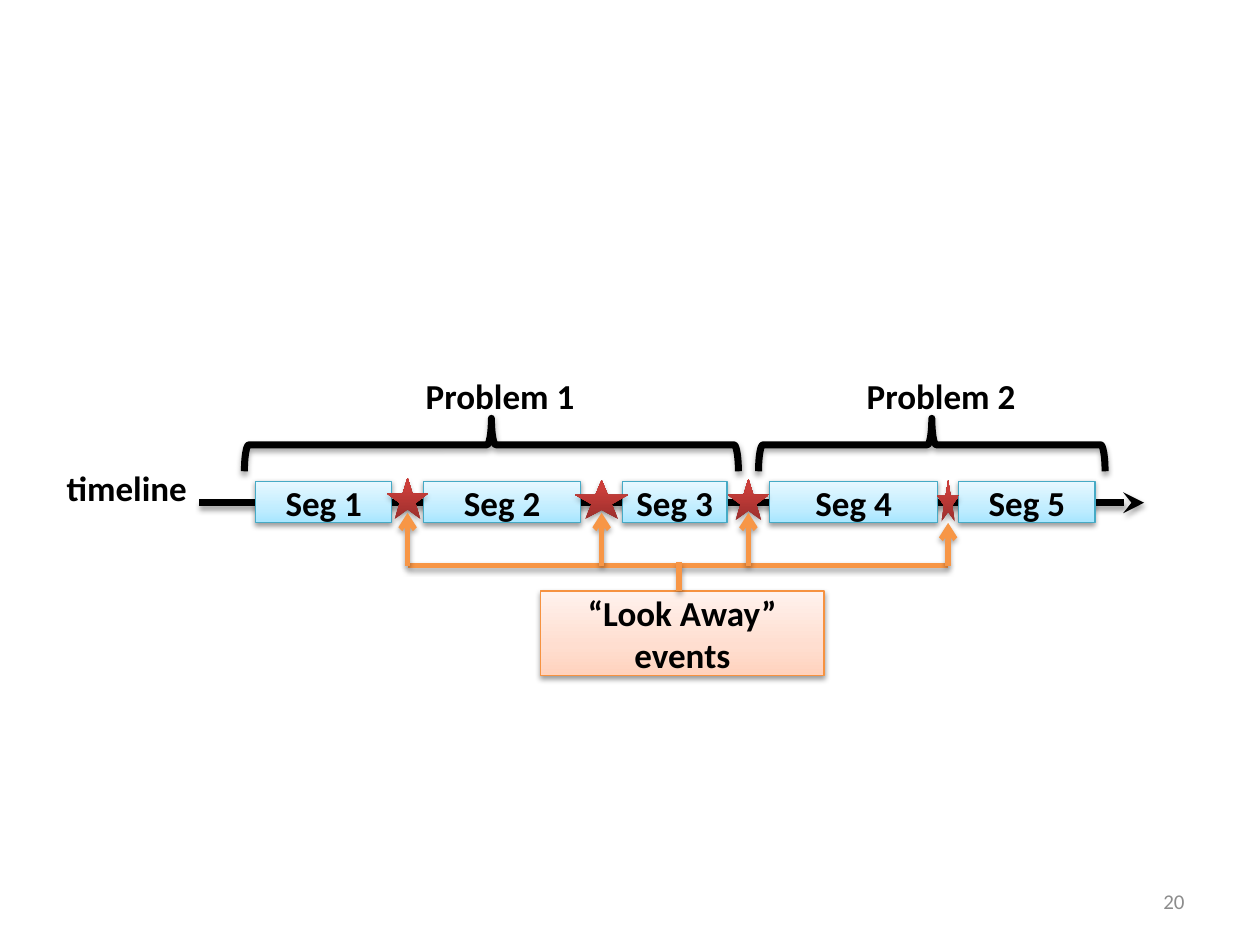
from lxml import etree
from pptx import Presentation
from pptx.dml.color import RGBColor
from pptx.enum import shapes, text
from pptx.oxml import ns
from pptx.util import Inches, Pt

BLACK = RGBColor(0x00, 0x00, 0x00)
GRAY = RGBColor(0x8C, 0x8C, 0x8C)
TEAL = RGBColor(0x46, 0xAA, 0xC5)
ORANGE = RGBColor(0xF7, 0x96, 0x46)
ORANGE_EDGE = RGBColor(0xF6, 0x92, 0x40)
BLUE_GRADIENT = [(0, RGBColor(0xA7, 0xE6, 0xFF)), (35, RGBColor(0xC1, 0xED, 0xFF)),
                 (100, RGBColor(0xE7, 0xF8, 0xFF))]
PEACH_GRADIENT = [(0, RGBColor(0xFF, 0xD2, 0xBD)), (35, RGBColor(0xFF, 0xDE, 0xD0)),
                  (100, RGBColor(0xFF, 0xF2, 0xED))]
RED_GRADIENT = [(0, RGBColor(0x9C, 0x2F, 0x2D)), (80, RGBColor(0xCB, 0x3E, 0x3A)),
                (100, RGBColor(0xCE, 0x3B, 0x37))]
SHAPE = shapes.MSO_SHAPE
ALIGN = text.PP_ALIGN


def add_node(parent, tag, **attributes):
    """Append a DrawingML element and return it."""
    values = {name: str(value) for name, value in attributes.items()}
    return etree.SubElement(parent, ns.qn("a:" + tag), values)


def add_color(parent, color, **children):
    """Append an RGB colour with optional modifiers."""
    node = add_node(parent, "srgbClr", val=color)
    for tag, value in children.items():
        add_node(node, tag, val=value)


def write(frame, words, size=20, color=BLACK, bold=True, align=ALIGN.LEFT,
          anchor=text.MSO_ANCHOR.TOP, wrap=True):
    """Put one formatted paragraph into a text frame."""
    frame.word_wrap = wrap
    frame.vertical_anchor = anchor
    para = frame.paragraphs[0]
    para.alignment = align
    span = para.add_run()
    span.text = words
    span.font.name = "Calibri"
    span.font.size = Pt(size)
    span.font.bold = bold
    span.font.color.rgb = color


class Diagram:
    """Holds the style and the current slide."""

    def __init__(self, page):
        """Start drawing on a page."""
        self.page = page
        self.target = page.shapes

    def start_group(self):
        """Send the following elements into a new group."""
        self.target = self.page.shapes.add_group_shape().shapes

    def end_group(self):
        """Send the following elements to the page again."""
        self.target = self.page.shapes

    def shadow(self, properties, opacity=35, distance=1.8):
        """Add a soft downward shadow to shape properties."""
        effects = properties.find(ns.qn("a:effectLst"))
        if effects is None:
            effects = add_node(properties, "effectLst")
        outer = add_node(effects, "outerShdw", blurRad=Pt(3.1), dist=Pt(distance),
                         dir=5400000, rotWithShape=0)
        add_color(outer, BLACK, alpha=opacity * 1000)

    def line(self, start, end, color, width, head=None):
        """Draw a straight line, with an arrowhead at its end if named."""
        line = self.target.add_connector(shapes.MSO_CONNECTOR.STRAIGHT,
                                         *map(Inches, start + end))
        line.line.color.rgb = color
        line.line.width = Pt(width)
        if head:
            add_node(line.line._get_or_add_ln(), "tailEnd", type=head)
        self.shadow(line._element.spPr)

    def shape(self, kind, left, top, width, height, gradient=None, edge=None,
              edge_width=0.75, opacity=35, distance=1.8):
        """Draw a preset shape with a vertical gradient, an edge and a shadow."""
        shape = self.target.add_shape(kind, *map(Inches, (left, top, width, height)))
        if gradient:
            shape.fill.gradient()
            shape.fill.gradient_angle = 90
            stops = shape._element.spPr.find(".//" + ns.qn("a:gsLst"))
            for stop in list(stops):
                stops.remove(stop)
            for position, color in gradient:
                add_color(add_node(stops, "gs", pos=position * 1000), color)
        else:
            shape.fill.background()
        if edge is None:
            shape.line.fill.background()
        else:
            shape.line.color.rgb = edge
            shape.line.width = Pt(edge_width)
        shape.shadow.inherit = False
        self.shadow(shape._element.spPr, opacity, distance)
        return shape

    def box(self, words, left, top, width, height, gradient, edge):
        """Draw a rectangle with centred text."""
        box = self.shape(SHAPE.RECTANGLE, left, top, width, height, gradient, edge,
                         opacity=38, distance=1.6)
        write(box.text_frame, words, align=ALIGN.CENTER, anchor=text.MSO_ANCHOR.MIDDLE)

    def brace(self, left, right, top, height):
        """Draw a brace that opens downward over a span."""
        span = right - left
        brace = self.shape(SHAPE.LEFT_BRACE, (left + right - height) / 2,
                           top + (height - span) / 2, height, span,
                           edge=BLACK, edge_width=4)
        brace.rotation = 90

    def label(self, words, left, top, width, height, **style):
        """Add a text box."""
        label = self.target.add_textbox(*map(Inches, (left, top, width, height)))
        write(label.text_frame, words, **style)


deck = Presentation()
deck.slide_width, deck.slide_height = Inches(10), Inches(7.5)
diagram = Diagram(deck.slides.add_slide(deck.slide_layouts[6]))

SEGMENTS = [(2.03, 1.08), (3.36, 1.25), (4.94, 0.83), (6.11, 1.33), (7.61, 1.08)]
STARS = [(0.33, 3.79, 0.33), (0.42, 3.81, 0.31), (0.33, 3.8, 0.33), (0.17, 3.81, 0.33)]
gap_centers = [(left + width + following) / 2
               for (left, width), (following, _) in zip(SEGMENTS, SEGMENTS[1:])]

diagram.line((1.58, 3.99), (9.08, 3.99), BLACK, 4, head="stealth")
for number, (left, width) in enumerate(SEGMENTS, 1):
    diagram.box(f"Seg {number}", left, 3.82, width, 0.33, BLUE_GRADIENT, TEAL)

for left, right in [(1.94, 5.86), (6.02, 8.77)]:
    diagram.brace(left, right, 3.32, 0.42)
for center, (width, top, height) in zip(gap_centers, STARS):
    diagram.shape(SHAPE.STAR_5_POINT, center - width / 2, top, width, height, RED_GRADIENT)

for words, left, top, width in [("Problem 1", 3.28, 2.92, 1.39),
                                ("Problem 2", 6.78, 2.92, 1.39),
                                ("timeline", 0.43, 3.65, 1.17)]:
    diagram.label(words, left, top, width, 0.44, wrap=False)

BUS = 4.49
diagram.start_group()
diagram.box("“Look Away” events", 4.29, 4.69, 2.25, 0.67, PEACH_GRADIENT, ORANGE_EDGE)
diagram.line((gap_centers[0], BUS), (gap_centers[-1], BUS), ORANGE, 3)
for center, tip in zip(gap_centers, [4.07, 4.07, 4.07, 4.15]):
    diagram.line((center, BUS), (center, tip), ORANGE, 3, head="arrow")
diagram.line((5.39, 4.69), (5.39, 4.46), ORANGE, 3)
diagram.end_group()

diagram.label("20", 7.17, 6.95, 2.33, 0.4, size=12, color=GRAY, bold=False,
              align=ALIGN.RIGHT, anchor=text.MSO_ANCHOR.MIDDLE)
deck.save("out.pptx")
